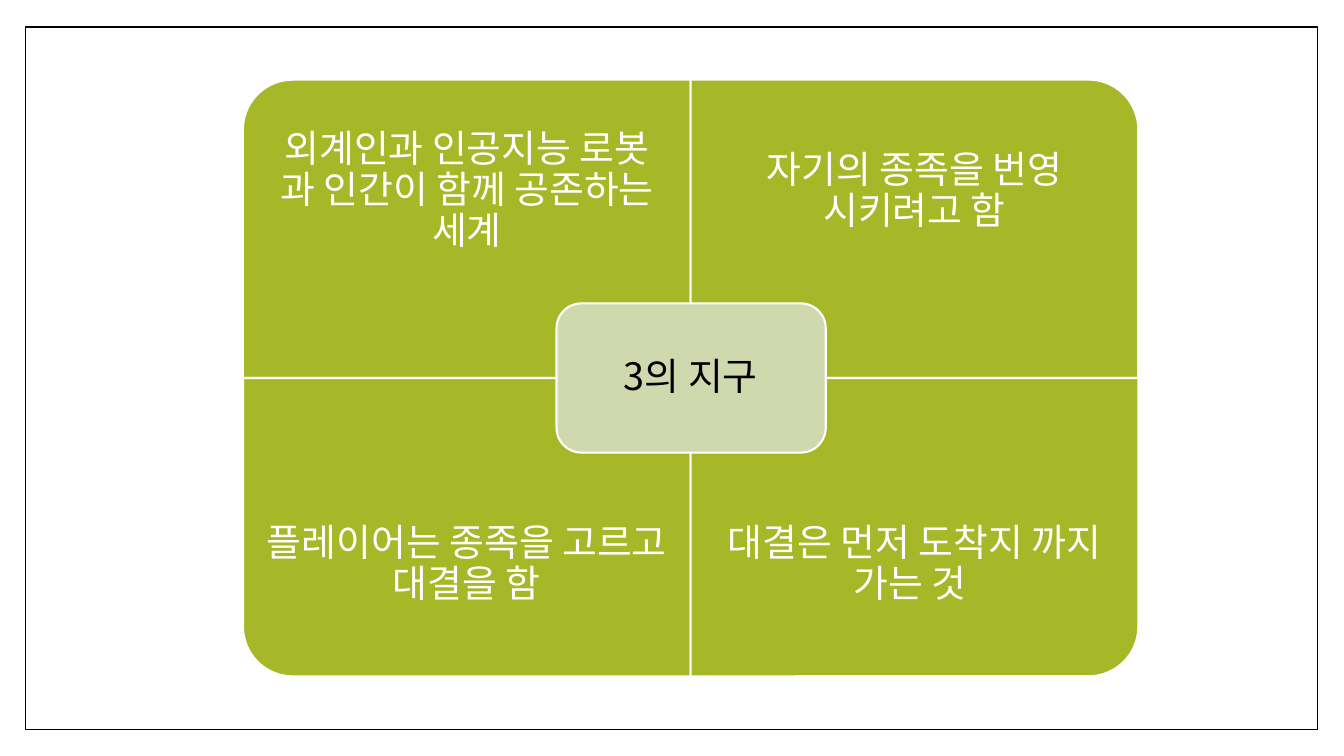
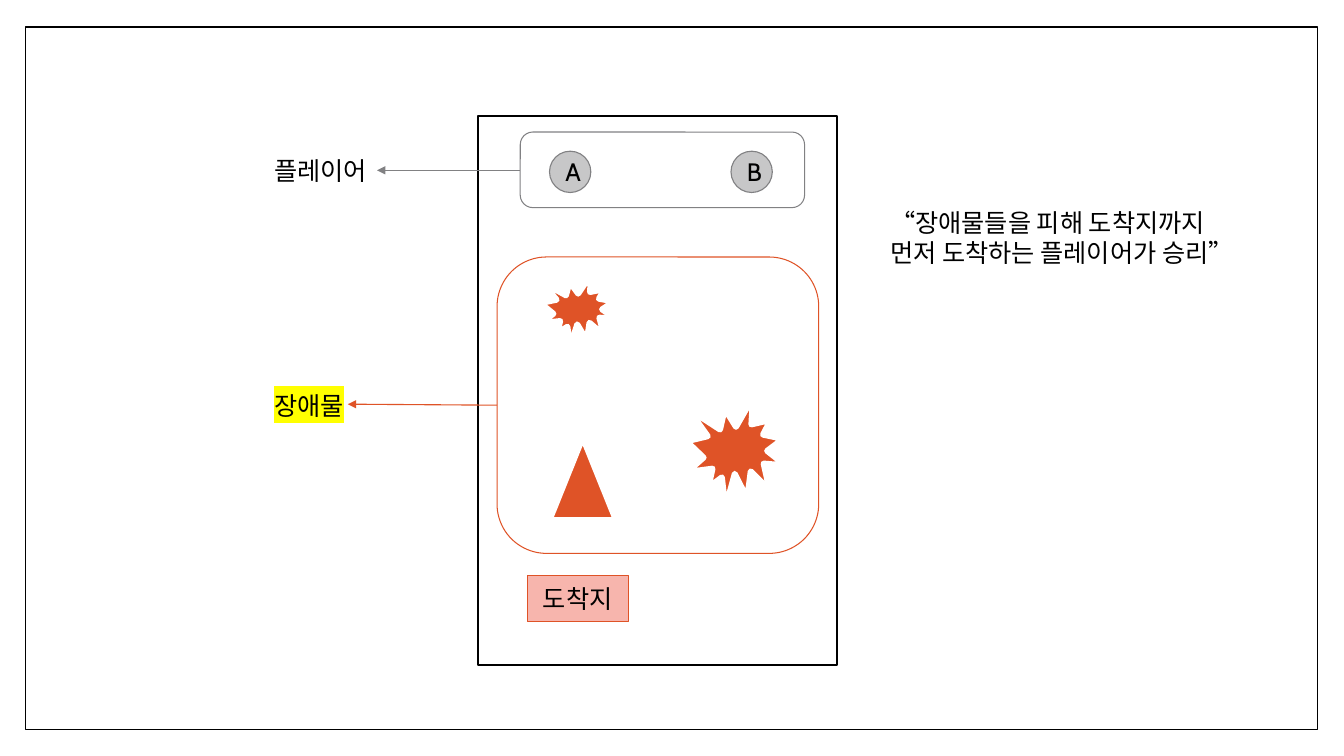
from lxml.etree import SubElement
from pptx import Presentation
from pptx.dml.color import RGBColor
from pptx.enum.shapes import MSO_CONNECTOR, MSO_SHAPE
from pptx.enum.text import MSO_ANCHOR, MSO_AUTO_SIZE, PP_ALIGN
from pptx.oxml.ns import qn
from pptx.util import Inches, Pt

COLORS = {
    "white": "FFFFFF", "black": "000000", "green": "A6B727", "sage": "D0D8AD",
    "orange": "DF5327", "pink": "F7B5AD", "silver": "C7C7C8", "gray": "818183",
    "yellow": "FFFF00",
}
KOREAN, LATIN = "Noto Sans CJK KR", "Cabin"


def rgb(name):
    return RGBColor.from_string(COLORS[name])


def apply(target, values):
    for attribute, value in values.items():
        setattr(target, attribute, value)


class Deck:
    def __init__(self):
        self.prs = Presentation()
        apply(self.prs, {"slide_width": Inches(13.33), "slide_height": Inches(7.5)})
        self.slide = None

    def page(self):
        """Start a slide with the shared thin frame."""
        self.slide = self.prs.slides.add_slide(self.prs.slide_layouts[6])
        self.shape(MSO_SHAPE.RECTANGLE, (0.25, 0.27, 12.82, 6.97), "white", "black", 1)

    def shape(self, preset, box, fill, line, width, rotation=0):
        shape = self.slide.shapes.add_shape(preset, *map(Inches, box))
        shape.shadow.inherit = False
        shape.rotation = rotation
        if fill:
            shape.fill.solid()
            shape.fill.fore_color.rgb = rgb(fill)
        else:
            shape.fill.background()
        shape.line.color.rgb = rgb(line)
        shape.line.width = Pt(width)
        return shape

    def set_text(self, frame, lines, size=18, color="black", font=KOREAN,
                 align=PP_ALIGN.CENTER, spacing=None, highlight=None):
        for index, line in enumerate(lines):
            paragraph = frame.add_paragraph() if index else frame.paragraphs[0]
            apply(paragraph, {"alignment": align, "line_spacing": spacing})
            run = paragraph.add_run()
            run.text = line
            run.font.size = Pt(size)
            run.font.color.rgb = rgb(color)
            properties = run.font._element
            if highlight:
                mark = SubElement(properties, qn("a:highlight"))
                SubElement(mark, qn("a:srgbClr"), val=COLORS[highlight])
            for script in ("a:latin", "a:ea"):
                SubElement(properties, qn(script), typeface=font)

    def caption(self, box, text, inset, color):
        """Wrapped, centred text laid over a panel."""
        frame = self.slide.shapes.add_textbox(*map(Inches, box)).text_frame
        sides = ("left", "top", "right", "bottom")
        apply(frame, {f"margin_{side}": Inches(inset) for side in sides})
        apply(frame, {"word_wrap": True, "vertical_anchor": MSO_ANCHOR.MIDDLE})
        self.set_text(frame, [text], size=27, color=color, spacing=0.9)

    def label(self, box, lines, highlight=None):
        """Unwrapped, left-aligned text."""
        frame = self.slide.shapes.add_textbox(*map(Inches, box)).text_frame
        apply(frame, {"word_wrap": False,
                      "auto_size": MSO_AUTO_SIZE.SHAPE_TO_FIT_TEXT})
        self.set_text(frame, lines, align=PP_ALIGN.LEFT, highlight=highlight)

    def token(self, preset, box, text, fill, line, font=KOREAN):
        frame = self.shape(preset, box, fill, line, 0.79).text_frame
        frame.vertical_anchor = MSO_ANCHOR.MIDDLE
        self.set_text(frame, [text], font=font)

    def arrow(self, start, end, color):
        arrow = self.slide.shapes.add_connector(
            MSO_CONNECTOR.STRAIGHT, *map(Inches, start + end))
        arrow.line.color.rgb = rgb(color)
        arrow.line.width = Pt(0.79)
        properties = arrow._element.spPr
        SubElement(properties.find(qn("a:ln")), qn("a:tailEnd"), type="triangle")
        SubElement(properties, qn("a:effectLst"))


deck = Deck()

# Slide 1: four quadrants of the game world around its name
deck.page()
LEFT, TOP, WIDTH, HEIGHT, TEXT_HEIGHT = 2.41, 0.79, 4.44, 2.96, 2.22
quadrants = [
    ("외계인과 인공지능 로봇 과 인간이 함께 공존하는 세계", 270),
    ("자기의 종족을 번영 시키려고 함", 0),
    ("플레이어는 종족을 고르고 대결을 함", 180),
    ("대결은 먼저 도착지 까지 가는 것 ", 90),
]
for index, (trait, rotation) in enumerate(quadrants):
    row, column = divmod(index, 2)
    x, y = LEFT + column * WIDTH, TOP + row * HEIGHT
    # A quarter turn swaps the sides around the same centre
    turn = (WIDTH - HEIGHT) / 2 if rotation % 180 else 0
    box = (x + turn, y - turn, WIDTH - 2 * turn, HEIGHT + 2 * turn)
    deck.shape(MSO_SHAPE.ROUND_1_RECTANGLE, box, "green", "white", 1.5, rotation)
    text_top = y + row * (HEIGHT - TEXT_HEIGHT)
    deck.caption((x, text_top, WIDTH, TEXT_HEIGHT), trait, 0.21, "white")
deck.shape(MSO_SHAPE.ROUNDED_RECTANGLE, (5.52, 3.01, 2.67, 1.48), "sage", "white", 1.5)
deck.caption((5.59, 3.08, 2.52, 1.34), "3의 지구", 0.11, "black")

# Slide 2: game board
deck.page()
deck.shape(MSO_SHAPE.RECTANGLE, (4.74, 1.15, 3.56, 5.45), "white", "black", 1.5)
for player, x in (("A", 5.45), ("B", 7.25)):
    deck.token(MSO_SHAPE.OVAL, (x, 1.5, 0.41, 0.41), player, "silver", "gray", LATIN)
deck.token(MSO_SHAPE.RECTANGLE, (5.23, 5.71, 1, 0.46), "도착지", "pink", "orange")

# Obstacles
for obstacle, box in (
    (MSO_SHAPE.EXPLOSION1, (5.36, 2.72, 0.75, 0.72)),
    (MSO_SHAPE.EXPLOSION1, (6.81, 3.94, 0.98, 1.1)),
    (MSO_SHAPE.ISOSCELES_TRIANGLE, (5.45, 4.34, 0.66, 0.82)),
):
    deck.shape(obstacle, box, "orange", "white", 4.25)

# Outlined zones, each with an arrow to its label
zones = [
    ((4.93, 2.55, 3.19, 2.94), "orange", (4.93, 4.02), (3.45, 4.01),
     "장애물", (2.62, 3.82, 0.96, 0.4), "yellow"),
    ((5.16, 1.31, 2.82, 0.75), "gray", (5.16, 1.69), (3.74, 1.69),
     "플레이어", (2.62, 1.49, 1.21, 0.4), None),
]
for zone, color, start, end, name, name_box, highlight in zones:
    deck.shape(MSO_SHAPE.ROUNDED_RECTANGLE, zone, None, color, 0.75)
    deck.arrow(start, end, color)
    deck.label(name_box, [name], highlight)

# Winning rule
deck.label((8.73, 2.01, 3.74, 0.71),
           ["“장애물들을 피해 도착지까지 ", "먼저 도착하는 플레이어가 승리”"])

deck.prs.save("out.pptx")
